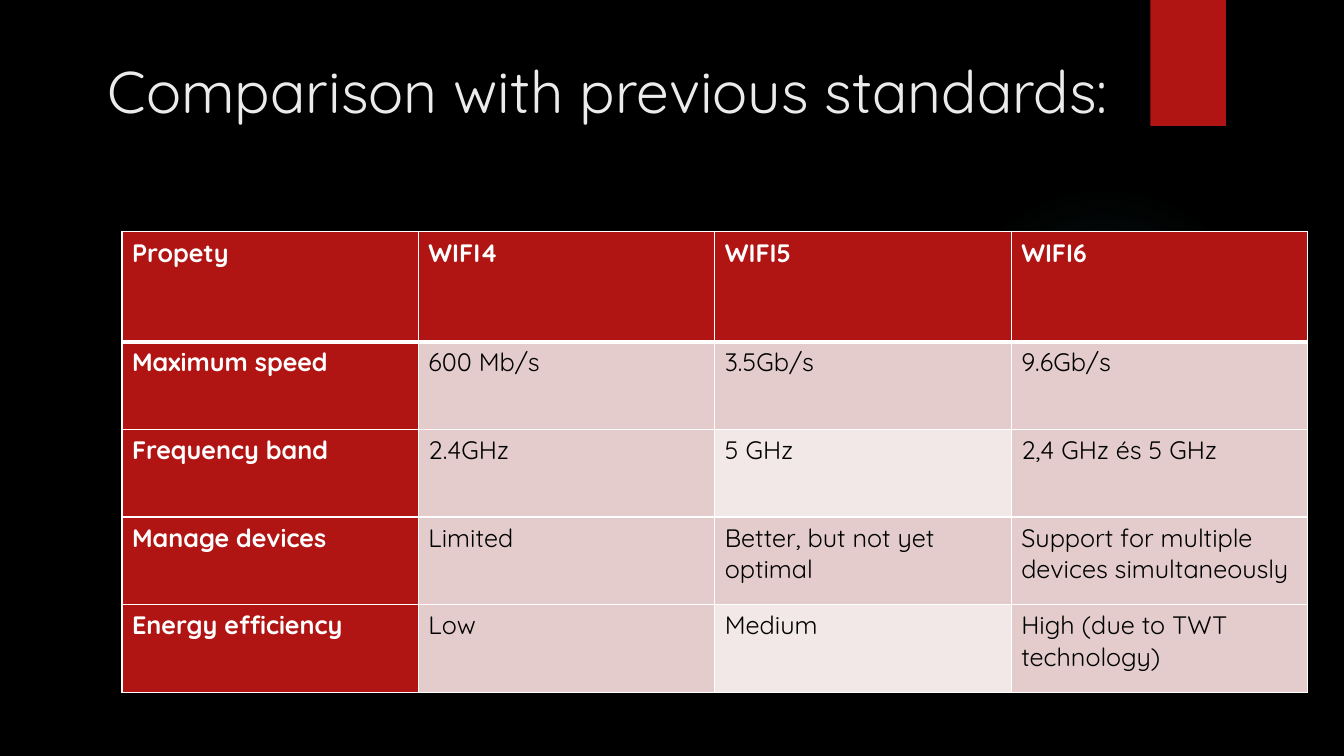
from dataclasses import dataclass

from pptx import Presentation
from pptx.dml.color import RGBColor
from pptx.enum.shapes import MSO_SHAPE
from pptx.enum.text import MSO_ANCHOR
from pptx.oxml import parse_xml
from pptx.oxml.ns import nsdecls
from pptx.slide import Slide
from pptx.table import _Cell as Cell
from pptx.text.text import TextFrame
from pptx.util import Inches, Pt


@dataclass(frozen=True)
class Theme:
    font: str = "Quicksand"
    title_size: int = 42
    table_size: int = 18
    background: str = "000000"
    title: str = "EBEBEB"
    accent: str = "B01513"
    glow: str = "50B9C1"
    border: str = "FFFFFF"
    header_text: str = "FFFFFF"
    cell_text: str = "000000"
    cell: str = "E4CCCC"
    cell_light: str = "F2E8E7"


@dataclass(frozen=True)
class Decoration:
    kind: MSO_SHAPE
    left: float
    top: float
    width: float
    height: float
    fill: str


@dataclass(frozen=True)
class Property:
    name: str
    values: tuple[str, str, str]
    light_column: int | None = None


THEME = Theme()
GLOW = Decoration(MSO_SHAPE.OVAL, 9.41, 1.83, 3.08, 3.08, THEME.glow)
RIBBON = Decoration(MSO_SHAPE.RECTANGLE, 11.41, 0, 0.75, 1.25, THEME.accent)
GLOW_STOPS = ((0, 7), (36, 6), (69, 0))  # position and opacity, in percent

HEADER = Property("Propety", ("WIFI4", "WIFI5", "WIFI6"))
PROPERTIES = (
    Property("Maximum speed", ("600 Mb/s", "3.5Gb/s", "9.6Gb/s")),
    Property("Frequency band", ("2.4GHz", "5 GHz", "2,4 GHz és 5 GHz"), light_column=2),
    Property("Manage devices", ("Limited", "Better, but not yet optimal",
                                "Support for multiple devices simultaneously")),
    Property("Energy efficiency", ("Low", "Medium", "High (due to TWT technology)"),
             light_column=2),
)
COLUMN_WIDTH = 2.94
HEADER_HEIGHT = 1.09
ROW_HEIGHT = 0.87


def write_text(frame: TextFrame, text: str, *, size: int, color: str,
               bold: bool = False) -> None:
    frame.word_wrap = True
    span = frame.paragraphs[0].add_run()
    span.text = text
    span.font.name = THEME.font
    span.font.size = Pt(size)
    span.font.bold = bold
    span.font.color.rgb = RGBColor.from_string(color)


def draw_decoration(page: Slide, item: Decoration,
                    stops: tuple[tuple[int, int], ...] = ()) -> None:
    shape = page.shapes.add_shape(item.kind, Inches(item.left), Inches(item.top),
                                  Inches(item.width), Inches(item.height))
    shape.shadow.inherit = False
    shape.line.fill.background()
    if not stops:
        shape.fill.solid()
        shape.fill.fore_color.rgb = RGBColor.from_string(item.fill)
        return
    # Radial gradient with transparent stops
    stop_xml = "".join(
        f'<a:gs pos="{position * 1000}"><a:srgbClr val="{item.fill}">'
        f'<a:alpha val="{opacity * 1000}"/></a:srgbClr></a:gs>'
        for position, opacity in stops)
    gradient = parse_xml(
        f'<a:gradFill {nsdecls("a")}><a:gsLst>{stop_xml}</a:gsLst><a:path path="circle">'
        '<a:fillToRect l="50000" t="50000" r="50000" b="50000"/></a:path></a:gradFill>')
    shape._element.spPr.prstGeom.addnext(gradient)


def draw_borders(cell: Cell, *, top: int = 1, bottom: int = 1) -> None:
    properties = cell._tc.get_or_add_tcPr()
    for side, width in (("L", 1), ("R", 1), ("T", top), ("B", bottom)):
        properties.append(parse_xml(
            f'<a:ln{side} {nsdecls("a")} w="{Pt(width)}"><a:solidFill>'
            f'<a:srgbClr val="{THEME.border}"/></a:solidFill></a:ln{side}>'))


def draw_table(page: Slide, left: float, top: float) -> None:
    entries = (HEADER, *PROPERTIES)
    column_count = len(HEADER.values) + 1
    height = HEADER_HEIGHT + ROW_HEIGHT * len(PROPERTIES)
    table = page.shapes.add_table(len(entries), column_count, Inches(left), Inches(top),
                                  Inches(COLUMN_WIDTH * column_count),
                                  Inches(height)).table
    for column in table.columns:
        column.width = Inches(COLUMN_WIDTH)

    for row, entry in enumerate(entries):
        table.rows[row].height = Inches(ROW_HEIGHT if row else HEADER_HEIGHT)
        for column, text in enumerate((entry.name, *entry.values)):
            cell = table.cell(row, column)
            heading = row == 0 or column == 0
            draw_borders(cell, top=3 if row == 1 else 1, bottom=3 if row == 0 else 1)
            if heading:
                fill = THEME.accent
            else:
                fill = THEME.cell_light if column == entry.light_column else THEME.cell
            cell.fill.solid()
            cell.fill.fore_color.rgb = RGBColor.from_string(fill)
            write_text(cell.text_frame, text, size=THEME.table_size, bold=heading,
                       color=THEME.header_text if heading else THEME.cell_text)


def draw_title(page: Slide, text: str) -> None:
    title = page.shapes.title
    title.left, title.top = Inches(0.97), Inches(0.49)
    title.width, title.height = Inches(10.29), Inches(1.53)
    title.text_frame.vertical_anchor = MSO_ANCHOR.TOP
    write_text(title.text_frame, text, size=THEME.title_size, color=THEME.title)
    title.text_frame.paragraphs[0].alignment = 1  # left


def main() -> None:
    deck = Presentation()
    deck.slide_width, deck.slide_height = Inches(13.33), Inches(7.5)
    page = deck.slides.add_slide(deck.slide_layouts[5])  # title only
    page.background.fill.solid()
    page.background.fill.fore_color.rgb = RGBColor.from_string(THEME.background)

    # Backdrop
    draw_decoration(page, GLOW, GLOW_STOPS)
    draw_decoration(page, RIBBON)

    # Content
    draw_title(page, "Comparison with previous standards:")
    draw_table(page, 1.21, 2.3)

    deck.save("out.pptx")


if __name__ == "__main__":
    main()
